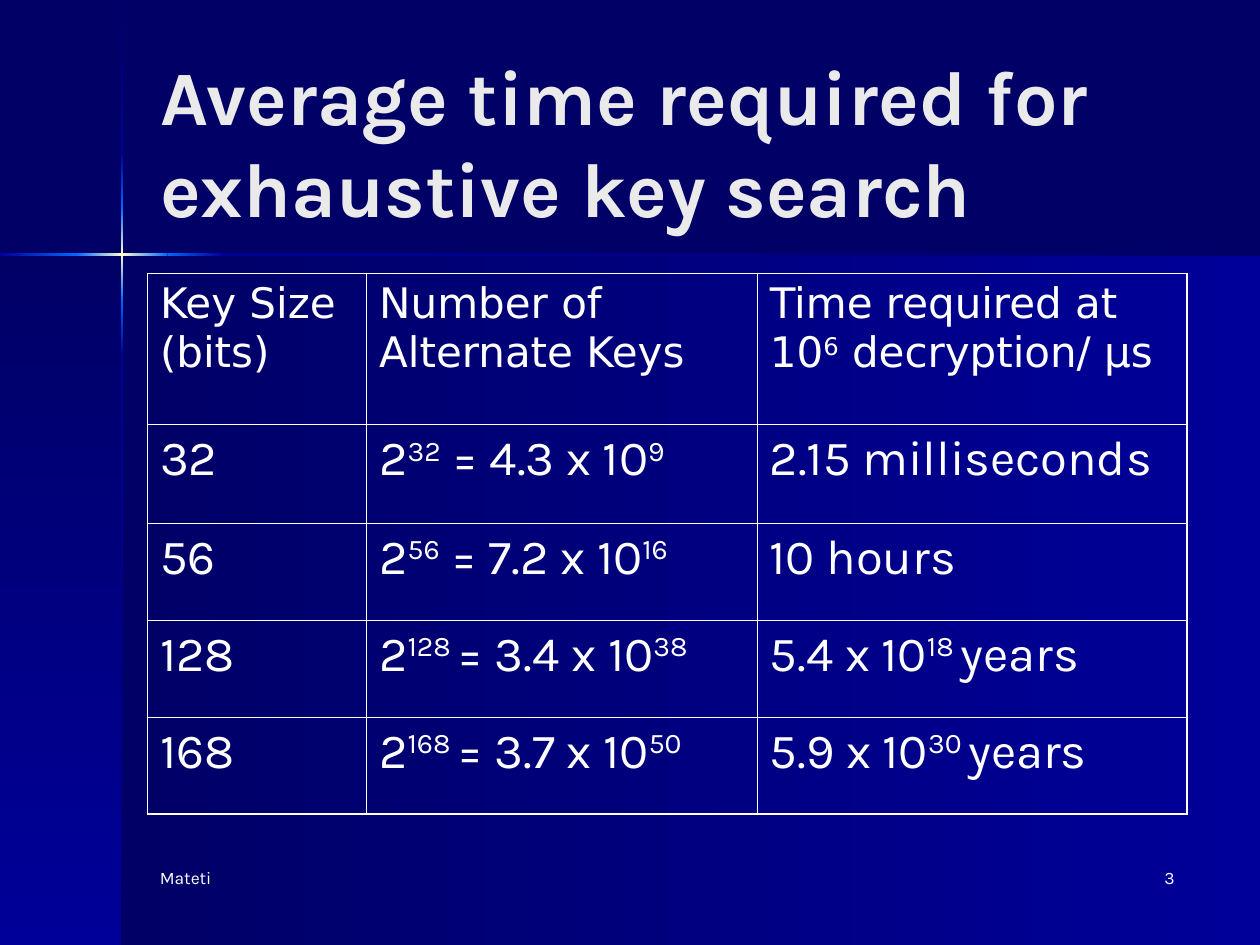
"""Builds a slide with a table of average exhaustive key search times."""
from dataclasses import dataclass
from itertools import pairwise

from lxml.etree import SubElement
from pptx import Presentation
from pptx.dml.color import RGBColor
from pptx.enum.shapes import MSO_SHAPE as Shape
from pptx.enum.text import MSO_ANCHOR as Anchor, MSO_AUTO_SIZE as AutoSize, PP_ALIGN as Align
from pptx.oxml.ns import qn
from pptx.util import Emu, Inches, Pt

COLORS = {
    "night": "000066",
    "royal": "000099",
    "azure": "0066FF",
    "cream": "FFFFCC",
    "title": "EAEAEA",
    "white": "FFFFFF",
}
WIDTH, HEIGHT = Inches(10), Inches(7.5)
GRID_COLUMNS, GRID_ROWS = 100, 75
ACROSS, DOWN = 0, 270
CROSS_X, CROSS_Y, RAY = 9.7, 20.2, 0.2
LEFT, CONTENT_WIDTH = 11.7, 82.5
FOOTER_TOP, FOOTER_WIDTH, FOOTER_HEIGHT = 68.3, 20.8, 5
THIN, THICK = Pt(0.45), Pt(1.08)
BODY_FONT, HEADER_FONT = "Karla", "DejaVu Sans"


@dataclass(frozen=True)
class Area:
    left: float
    top: float
    width: float
    height: float

    def box(self) -> tuple[Emu, ...]:
        return (x_at(self.left), y_at(self.top), x_at(self.width), y_at(self.height))


@dataclass(frozen=True)
class Band:
    area: Area
    fade: tuple[str, ...]
    angle: int


@dataclass(frozen=True)
class RowStyle:
    font: str
    size: int
    space_before: int


HEADER_STYLE = RowStyle(HEADER_FONT, 24, 6)
BODY_STYLE = RowStyle(BODY_FONT, 28, 7)
COLUMN_WIDTHS = (17.4, 31, 34.1)
ROW_HEIGHTS = (12, 7.8, 7.7, 7.7, 7.7)
TABLE_ROWS = (
    ("Key Size (bits)", "Number of Alternate Keys", "Time required at 10^6^ decryption/ µs"),
    ("32", "2^32^ = 4.3 x 10^9", "2.15 milliseconds"),
    ("56", "2^56^ = 7.2 x 10^16", "10 hours"),
    ("128", "2^128 ^= 3.4 x 10^38", "5.4 x 10^18 ^years"),
    ("168", "2^168 ^= 3.7 x 10^50", "5.9 x 10^30 ^years"),
)
FADES = (
    ("night", "royal"),
    ("royal", "azure"),
    ("azure", "cream", "azure"),
    ("azure", "royal"),
    ("royal", "night"),
)
VERTICAL_STOPS = (0.1, 12.1, 16.5, 23.8, 28.2, GRID_ROWS)
HORIZONTAL_STOPS = (0, 6.1, 13.3, 17.7, GRID_COLUMNS)


def x_at(columns: float) -> Emu:
    return Emu(round(WIDTH * columns / GRID_COLUMNS))


def y_at(rows: float) -> Emu:
    return Emu(round(HEIGHT * rows / GRID_ROWS))


def backdrop() -> list[Band]:
    below = GRID_ROWS - CROSS_Y
    panels = [
        Band(Area(CROSS_X, CROSS_Y, GRID_COLUMNS - CROSS_X, below), FADES[0], ACROSS),
        Band(Area(0, CROSS_Y, CROSS_X, below), FADES[0], DOWN),
    ]
    vertical = [
        Band(Area(CROSS_X - RAY / 2, start, RAY, end - start), fade, DOWN)
        for (start, end), fade in zip(pairwise(VERTICAL_STOPS), FADES)
    ]
    horizontal = [
        Band(Area(start, CROSS_Y - RAY / 2, end - start, RAY), fade, ACROSS)
        for (start, end), fade in zip(pairwise(HORIZONTAL_STOPS), FADES[1:])
    ]
    return panels + vertical + horizontal


def draw_band(page, band: Band) -> None:
    shape = page.shapes.add_shape(Shape.RECTANGLE, *band.area.box())
    shape.shadow.inherit = False
    shape.line.fill.background()
    shape.fill.gradient()
    shape.fill.gradient_angle = band.angle
    stops = shape._element.spPr.find(qn("a:gradFill")).find(qn("a:gsLst"))
    stops.clear()
    for index, name in enumerate(band.fade):
        position = 100000 * index // (len(band.fade) - 1)
        stop = SubElement(stops, qn("a:gs"), pos=str(position))
        SubElement(stop, qn("a:srgbClr"), val=COLORS[name])


def style_font(font, name: str, size: int, color: str) -> None:
    font.name, font.size = name, Pt(size)
    font.color.rgb = RGBColor.from_string(COLORS[color])


def write_scripted(para, text: str, style: RowStyle) -> None:
    para.space_before = Pt(style.space_before)
    for index, part in enumerate(text.split("^")):
        if part:
            span = para.add_run()
            span.text = part
            if index % 2:
                span.font._element.set("baseline", "30000")
    style_font(para.font, style.font, style.size, "white")


def set_borders(cell, widths: dict[str, int]) -> None:
    properties = cell._tc.get_or_add_tcPr()
    for side, width in widths.items():
        line = SubElement(properties, qn(f"a:ln{side}"), w=str(width))
        fill = SubElement(line, qn("a:solidFill"))
        SubElement(fill, qn("a:srgbClr"), val=COLORS["white"])


def draw_table(page) -> None:
    area = Area(LEFT, 21.7, sum(COLUMN_WIDTHS), sum(ROW_HEIGHTS))
    row_count, column_count = len(ROW_HEIGHTS), len(COLUMN_WIDTHS)
    table = page.shapes.add_table(row_count, column_count, *area.box()).table
    table.first_row = table.horz_banding = False
    for column, width in zip(table.columns, COLUMN_WIDTHS):
        column.width = x_at(width)
    for r, (row, height, texts) in enumerate(zip(table.rows, ROW_HEIGHTS, TABLE_ROWS)):
        row.height = y_at(height)
        for c, text in enumerate(texts):
            cell = table.cell(r, c)
            outer = {"L": c == 0, "R": c == column_count - 1, "T": r == 0, "B": r == row_count - 1}
            set_borders(cell, {side: THICK if edge else THIN for side, edge in outer.items()})
            cell.fill.background()
            write_scripted(cell.text_frame.paragraphs[0], text, BODY_STYLE if r else HEADER_STYLE)


def draw_title(page, text: str) -> None:
    title = page.shapes.title
    area = Area(LEFT, 3.3, CONTENT_WIDTH, 15.7)
    title.left, title.top, title.width, title.height = area.box()
    frame = title.text_frame
    frame.text = text
    frame.word_wrap, frame.auto_size = True, AutoSize.NONE
    frame.vertical_anchor = Anchor.MIDDLE
    para = frame.paragraphs[0]
    para.alignment = Align.LEFT
    style_font(para.font, BODY_FONT, 44, "title")
    para.font.bold = True


def draw_footer(page, text: str, left: float, align: Align) -> None:
    box = page.shapes.add_textbox(*Area(left, FOOTER_TOP, FOOTER_WIDTH, FOOTER_HEIGHT).box())
    box.text_frame.word_wrap = True
    para = box.text_frame.paragraphs[0]
    para.text, para.alignment = text, align
    style_font(para.font, BODY_FONT, 10, "white")


def main() -> None:
    deck = Presentation()
    deck.slide_width, deck.slide_height = WIDTH, HEIGHT
    page = deck.slides.add_slide(deck.slide_layouts.get_by_name("Title Only"))
    page.background.fill.solid()
    page.background.fill.fore_color.rgb = RGBColor.from_string(COLORS["night"])
    for band in backdrop():
        draw_band(page, band)
    draw_title(page, "Average time required for exhaustive key search")
    draw_table(page)
    draw_footer(page, "3", LEFT + CONTENT_WIDTH - FOOTER_WIDTH, Align.RIGHT)
    draw_footer(page, "Mateti", LEFT, Align.LEFT)
    deck.save("out.pptx")


if __name__ == "__main__":
    main()
